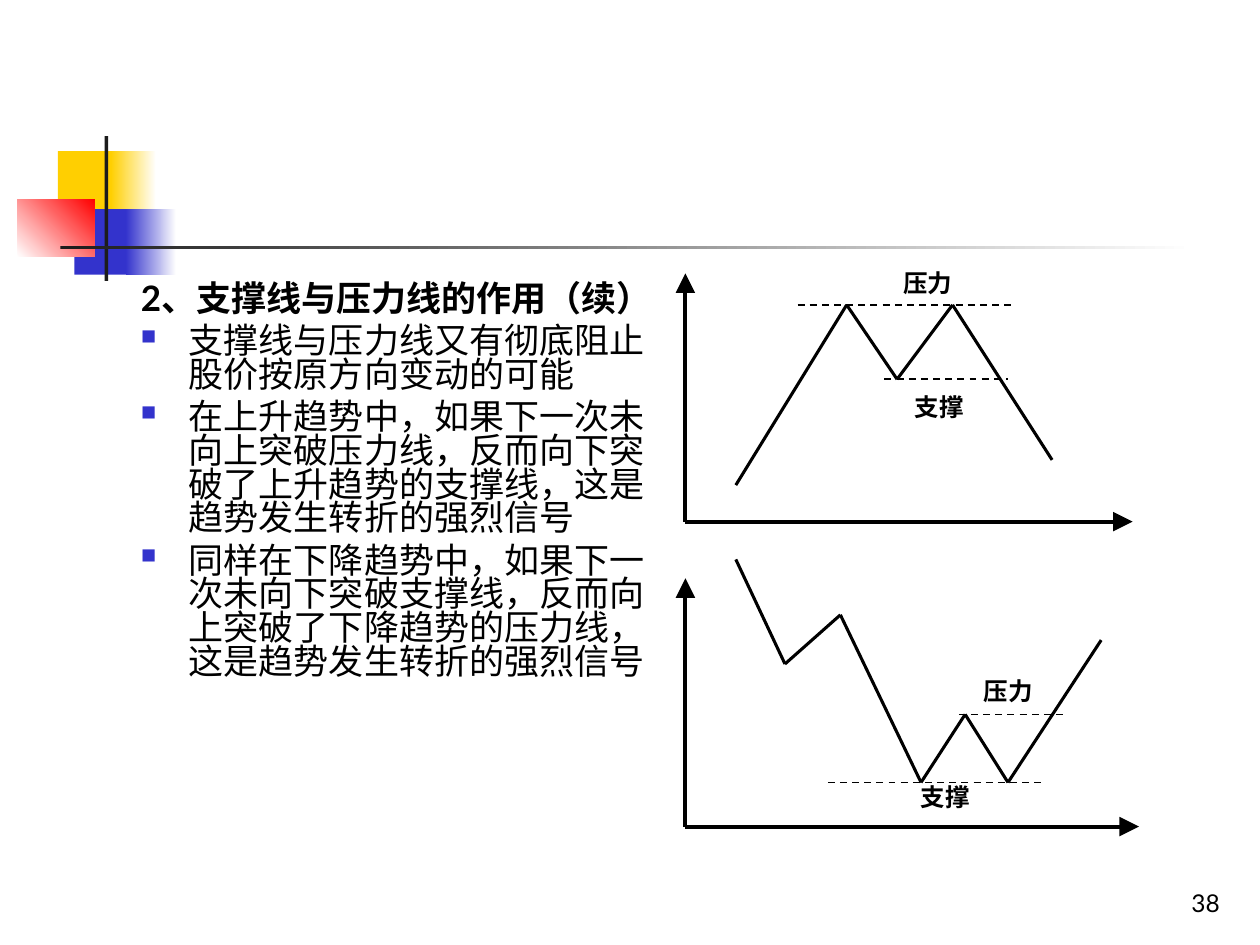
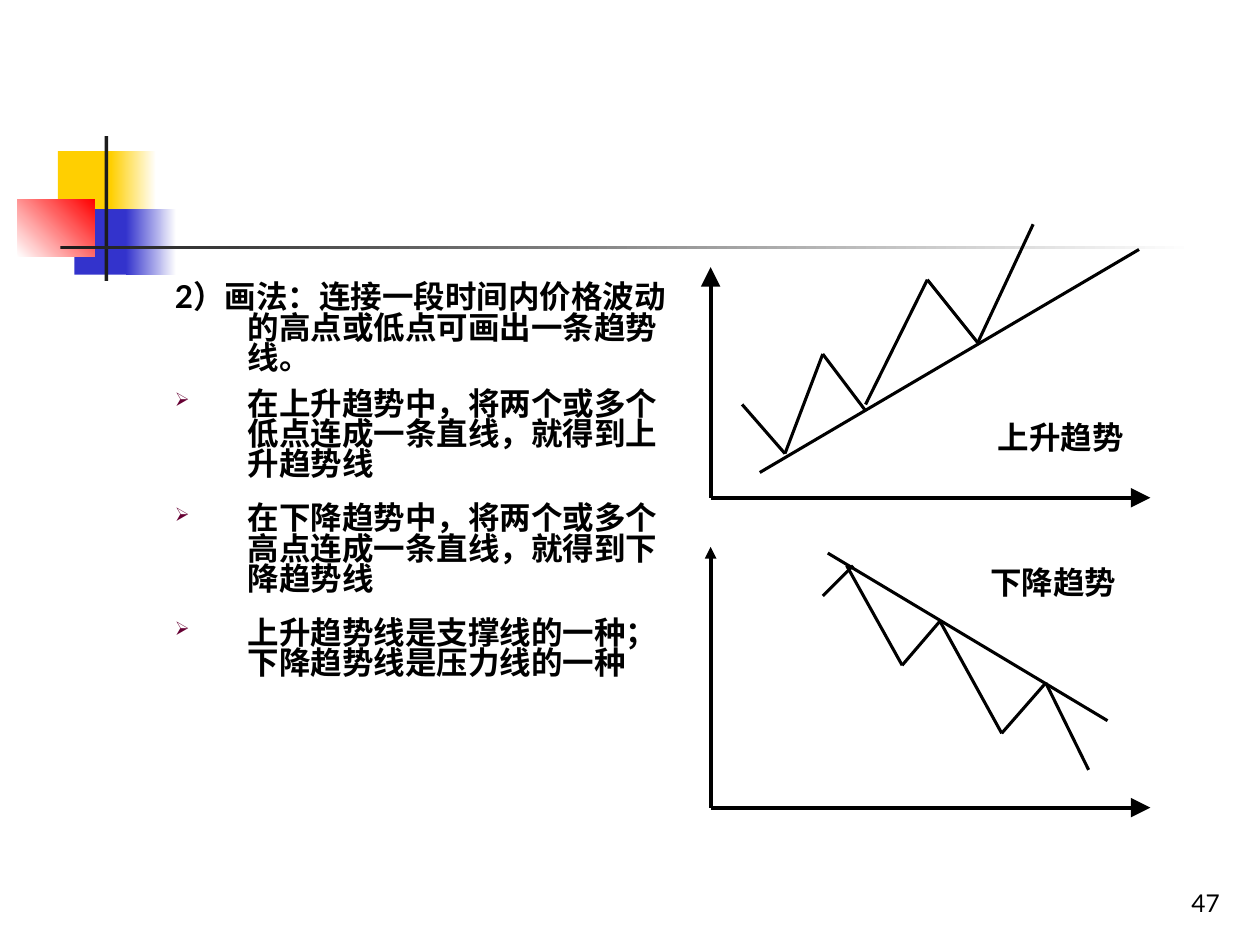
from dataclasses import dataclass
from itertools import pairwise
from typing import Optional

from lxml import etree
from pptx import Presentation
from pptx.dml.color import RGBColor
from pptx.enum.dml import MSO_LINE
from pptx.enum.shapes import MSO_CONNECTOR, MSO_SHAPE
from pptx.enum.text import MSO_ANCHOR, PP_ALIGN
from pptx.oxml.ns import qn
from pptx.util import Inches, Pt

RECTANGLE = MSO_SHAPE.RECTANGLE
STRAIGHT = MSO_CONNECTOR.STRAIGHT
DASH = MSO_LINE.DASH
TOP, BOTTOM = MSO_ANCHOR.TOP, MSO_ANCHOR.BOTTOM
LEFT, RIGHT = PP_ALIGN.LEFT, PP_ALIGN.RIGHT

BLACK = RGBColor(0x00, 0x00, 0x00)
WHITE = RGBColor(0xFF, 0xFF, 0xFF)
YELLOW = RGBColor(0xFF, 0xCF, 0x01)
BLUE = RGBColor(0x33, 0x33, 0xCC)
RED = RGBColor(0xFF, 0x00, 0x00)
CHARCOAL = RGBColor(0x1C, 0x1C, 0x1C)
PLUM = RGBColor(0x66, 0x00, 0x33)

BODY_FONT = "Lato"
LABEL_FONT = "Arial"
AXIS_WIDTH, PRICE_WIDTH, LEVEL_WIDTH = 2.25, 1.75, 1

Point = tuple[float, float]


@dataclass(frozen=True)
class Block:
    left: float
    top: float
    width: float
    height: float
    color: RGBColor
    end_color: Optional[RGBColor] = None
    angle: float = 0


@dataclass(frozen=True)
class Axes:
    origin: Point
    top: float
    right: float
    vertical_head: str = "lg"


@dataclass(frozen=True)
class Label:
    text: str
    left: float
    top: float
    width: float
    height: float
    size: float
    wrap: bool = True


@dataclass(frozen=True)
class Body:
    left: float
    width: float
    size: float
    indent: float
    bullet: str
    bullet_color: RGBColor
    space_before: float
    space_after: float
    bold_items: bool
    heading: str
    items: list[str]


@dataclass(frozen=True)
class Page:
    number: int
    body: Body
    axes: list[Axes]
    prices: list[list[Point]]
    levels: list[list[Point]]
    labels: list[Label]


ORNAMENT = [
    Block(0.46, 1.2, 0.48, 0.52, YELLOW),
    Block(0.88, 1.2, 0.36, 0.52, YELLOW, WHITE),
    Block(0.59, 1.66, 0.46, 0.52, BLUE),
    Block(1, 1.66, 0.4, 0.52, BLUE, WHITE),
    Block(0.14, 1.58, 0.61, 0.46, WHITE, RED, 45),
    Block(0.83, 1.08, 0.03, 1.15, CHARCOAL),
    Block(0.48, 1.95, 9, 0.03, CHARCOAL, WHITE),
]

PAGES = [
    Page(
        number=38,
        body=Body(
            1.02, 4.44, 20, 0.38, "■", BLUE, 5, 0, False,
            "2、支撑线与压力线的作用（续）",
            [
                "支撑线与压力线又有彻底阻止股价按原方向变动的可能",
                "在上升趋势中，如果下一次未向上突破压力线，反而向下突破了上升趋势的支撑线，"
                "这是趋势发生转折的强烈信号",
                "同样在下降趋势中，如果下一次未向下突破支撑线，反而向上突破了下降趋势的压力线，"
                "这是趋势发生转折的强烈信号",
            ],
        ),
        axes=[Axes((5.44, 6.56), 4.59, 9.04), Axes((5.44, 4.14), 2.17, 8.99)],
        prices=[
            [(5.84, 3.85), (6.72, 2.42), (7.12, 3.01), (7.56, 2.42), (8.35, 3.65)],
            [(5.84, 4.44), (6.23, 5.27), (6.67, 4.88), (7.31, 6.21),
             (7.66, 5.67), (8, 6.21), (8.74, 5.08)],
        ],
        levels=[
            [(6.33, 2.42), (8.05, 2.42)],
            [(7.02, 3.01), (8, 3.01)],
            [(6.57, 6.21), (8.3, 6.21)],
            [(7.61, 5.67), (8.44, 5.67)],
        ],
        labels=[
            Label("压力", 7.07, 2.08, 1.08, 0.34, 14),
            Label("支撑", 7.16, 3.06, 1.08, 0.34, 14),
            Label("压力", 7.71, 5.32, 0.94, 0.34, 14),
            Label("支撑", 7.21, 6.16, 1.13, 0.34, 14),
        ],
    ),
    Page(
        number=47,
        body=Body(
            1.29, 4.17, 18, 0.58, "➢", PLUM, 9, 4.5, True,
            "2）画法：连接一段时间内价格波动的高点或低点可画出一条趋势线。",
            [
                "在上升趋势中，将两个或多个低点连成一条直线，就得到上升趋势线",
                "在下降趋势中，将两个或多个高点连成一条直线，就得到下降趋势线",
                "上升趋势线是支撑线的一种；下降趋势线是压力线的一种",
            ],
        ),
        axes=[Axes((5.64, 6.41), 4.34, 9.13, "med"), Axes((5.64, 3.95), 2.12, 9.13)],
        prices=[
            [(6.03, 3.75), (9.04, 1.98)],
            [(5.89, 3.21), (6.23, 3.6), (6.53, 2.81), (6.87, 3.26)],
            [(6.87, 3.21), (7.36, 2.22), (7.76, 2.72), (8.2, 1.78)],
            [(6.57, 4.39), (8.79, 5.72)],
            [(6.53, 4.73), (6.77, 4.49)],
            [(6.72, 4.49), (7.16, 5.28), (7.46, 4.93), (7.95, 5.82),
             (8.3, 5.42), (8.64, 6.11)],
        ],
        levels=[],
        labels=[
            Label("上升趋势", 7.82, 3.27, 1.2, 0.4, 18, False),
            Label("下降趋势", 7.76, 4.42, 1.2, 0.4, 18, False),
        ],
    ),
]


def draw_block(slide, block: Block) -> None:
    shape = slide.shapes.add_shape(
        RECTANGLE, Inches(block.left), Inches(block.top),
        Inches(block.width), Inches(block.height),
    )
    shape.shadow.inherit = False
    shape.line.fill.background()
    if block.end_color is None:
        shape.fill.solid()
        shape.fill.fore_color.rgb = block.color
        return
    shape.fill.gradient()
    shape.fill.gradient_angle = block.angle
    for stop, color in zip(shape.fill.gradient_stops, (block.color, block.end_color)):
        stop.color.rgb = color


def draw_line(slide, start: Point, end: Point, width: float,
              head: Optional[str] = None, dashed: bool = False) -> None:
    line = slide.shapes.add_connector(
        STRAIGHT, Inches(start[0]), Inches(start[1]), Inches(end[0]), Inches(end[1])
    )
    line.line.color.rgb = BLACK
    line.line.width = Pt(width)
    if dashed:
        line.line.dash_style = DASH
    properties = line._element.spPr
    if head:
        etree.SubElement(properties.find(qn("a:ln")), qn("a:tailEnd"),
                         type="triangle", w=head, len=head)
    etree.SubElement(properties, qn("a:effectLst"))


def draw_path(slide, points: list[Point], width: float, dashed: bool = False) -> None:
    for start, end in pairwise(points):
        draw_line(slide, start, end, width, dashed=dashed)


def draw_axes(slide, axes: Axes) -> None:
    x, y = axes.origin
    draw_line(slide, axes.origin, (x, axes.top), AXIS_WIDTH, axes.vertical_head)
    draw_line(slide, axes.origin, (axes.right, y), AXIS_WIDTH, "lg")


def add_frame(slide, left: float, top: float, width: float, height: float,
              wrap: bool = True, anchor=TOP):
    box = slide.shapes.add_textbox(Inches(left), Inches(top), Inches(width), Inches(height))
    frame = box.text_frame
    frame.word_wrap = wrap
    frame.vertical_anchor = anchor
    return frame


def write(para, text: str, font: str, size: float, bold: bool = False, align=LEFT) -> None:
    para.text = text
    para.alignment = align
    para.font.name = font
    para.font.size = Pt(size)
    para.font.bold = bold
    para.font.color.rgb = BLACK


def add_bullet(para, character: str, color: RGBColor) -> None:
    properties = para._p.get_or_add_pPr()
    bullet_color = etree.SubElement(properties, qn("a:buClr"))
    etree.SubElement(bullet_color, qn("a:srgbClr"), val=str(color))
    etree.SubElement(properties, qn("a:buSzPct"), val="60000")
    etree.SubElement(properties, qn("a:buChar"), char=character)


def draw_body(slide, body: Body) -> None:
    frame = add_frame(slide, body.left, 2.21, body.width, 4.5)
    for index, text in enumerate([body.heading, *body.items]):
        para = frame.add_paragraph() if index else frame.paragraphs[0]
        properties = para._p.get_or_add_pPr()
        properties.set("marL", str(Inches(body.indent)))
        properties.set("indent", str(-Inches(body.indent)))
        if index:
            add_bullet(para, body.bullet, body.bullet_color)
            para.space_before = Pt(body.space_before)
            para.space_after = Pt(body.space_after)
        para.line_spacing = 0.8
        write(para, text, BODY_FONT, body.size, body.bold_items or index == 0)


def draw_label(slide, label: Label) -> None:
    frame = add_frame(slide, label.left, label.top, label.width, label.height, label.wrap)
    write(frame.paragraphs[0], label.text, LABEL_FONT, label.size, bold=True)


def draw_page(deck, page: Page) -> None:
    slide = deck.slides.add_slide(deck.slide_layouts[6])
    for block in ORNAMENT:
        draw_block(slide, block)
    number = add_frame(slide, 7.7, 6.83, 2.08, 0.5, anchor=BOTTOM)
    write(number.paragraphs[0], str(page.number), BODY_FONT, 14, align=RIGHT)
    draw_body(slide, page.body)
    for axes in page.axes:
        draw_axes(slide, axes)
    for points in page.prices:
        draw_path(slide, points, PRICE_WIDTH)
    for points in page.levels:
        draw_path(slide, points, LEVEL_WIDTH, dashed=True)
    for label in page.labels:
        draw_label(slide, label)


def main() -> None:
    deck = Presentation()
    deck.slide_width = Inches(10)
    deck.slide_height = Inches(7.5)
    for page in PAGES:
        draw_page(deck, page)
    deck.save("out.pptx")


if __name__ == "__main__":
    main()
